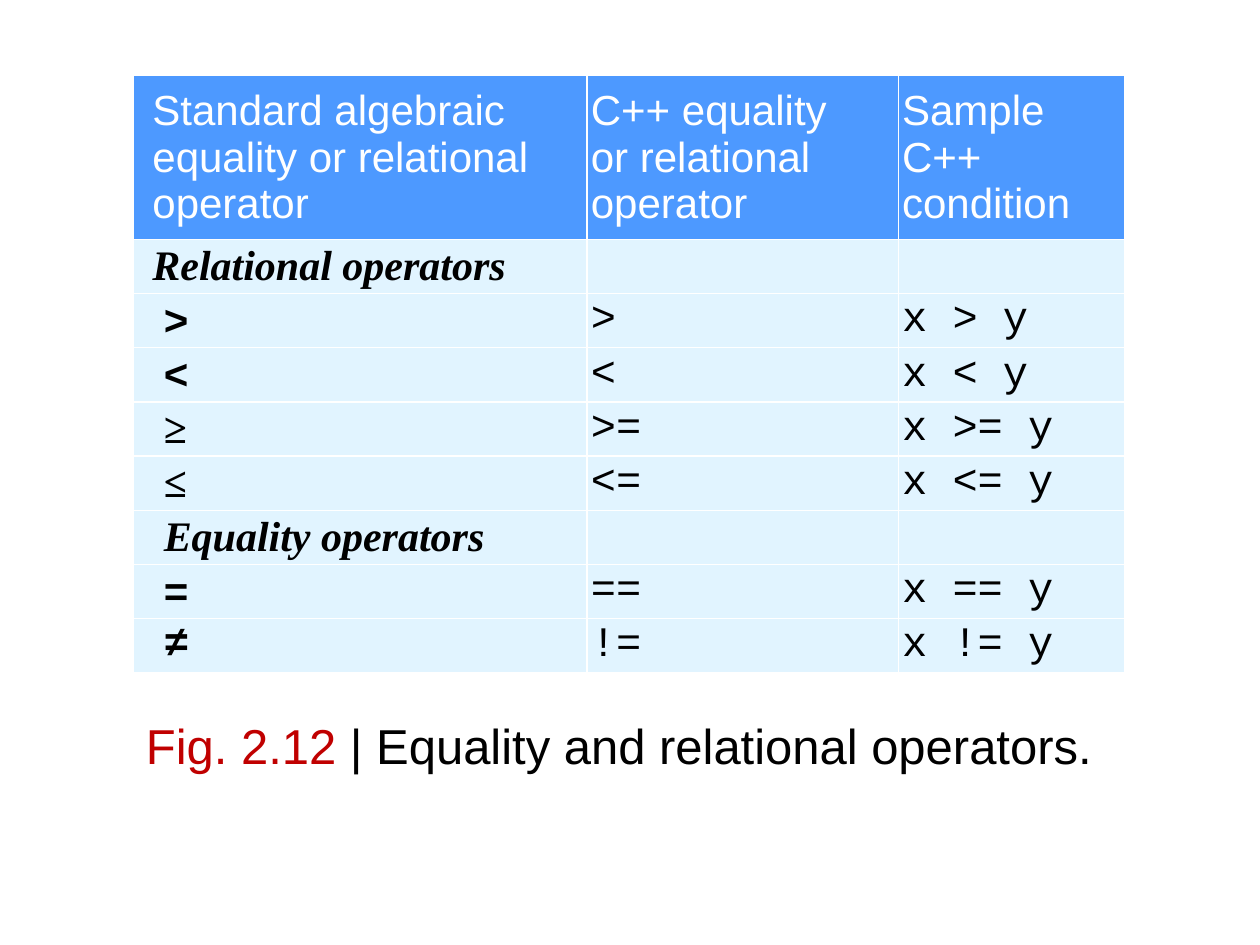
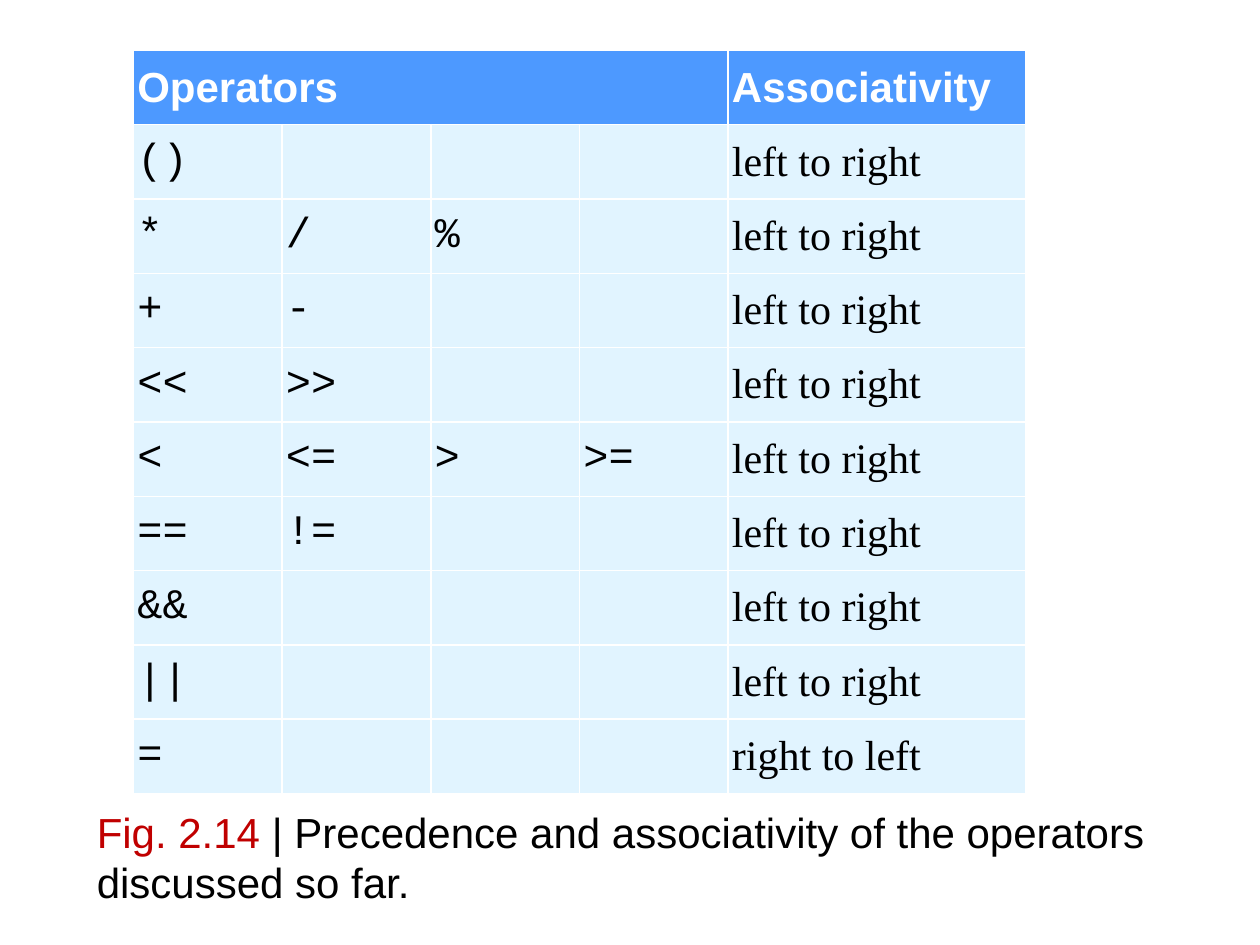
from dataclasses import dataclass

from pptx import Presentation
from pptx.dml.color import RGBColor
from pptx.enum.text import MSO_ANCHOR
from pptx.util import Inches, Pt

HEADER_FILL, BODY_FILL = "4D99FF", "E1F4FF"
WHITE, BLACK, RED = "FFFFFF", "000000", "C00000"
SANS, SERIF, MONO = "Arial", "Times New Roman", "Courier New"
TEXT_SIZE = 24
CELL_INDENT = 0.03
GROUP_INDENT = 0.15
SYMBOL_INDENT = 0.24


@dataclass(frozen=True)
class Style:
    name: str
    color: str = BLACK
    bold: bool = False
    italic: bool = False
    size: int = TEXT_SIZE


@dataclass(frozen=True)
class Entry:
    text: str
    style: Style
    indent: float = CELL_INDENT


@dataclass(frozen=True)
class Grid:
    left: float
    top: float
    column_widths: list[float]
    row_heights: list[float]
    rows: list[list[Entry]]


@dataclass(frozen=True)
class Caption:
    number: str
    text: str
    left: float
    top: float
    width: float
    height: float
    size: int


HEADER = Style(SANS, WHITE)
BOLD_HEADER = Style(SANS, WHITE, bold=True)
GROUP = Style(SERIF, bold=True, italic=True)
CODE = Style(MONO)
PROSE = Style(SERIF)
EMPTY = Entry("", CODE)


def rgb(color: str) -> RGBColor:
    return RGBColor.from_string(color)


def format_font(font, style: Style) -> None:
    values = {"name": style.name, "bold": style.bold, "italic": style.italic,
              "size": Pt(style.size)}
    for attribute, value in values.items():
        setattr(font, attribute, value)
    font.color.rgb = rgb(style.color)


def fill_cell(cell, entry: Entry, color: str) -> None:
    values = {"margin_left": Inches(entry.indent), "margin_right": 0,
              "margin_top": 0, "margin_bottom": 0,
              "vertical_anchor": MSO_ANCHOR.MIDDLE}
    for attribute, value in values.items():
        setattr(cell, attribute, value)
    cell.fill.solid()
    cell.fill.fore_color.rgb = rgb(color)
    para = cell.text_frame.paragraphs[0]
    para.text = entry.text
    for span in para.runs:
        format_font(span.font, entry.style)


def add_grid(page, grid: Grid):
    frame = page.shapes.add_table(
        len(grid.row_heights), len(grid.column_widths),
        Inches(grid.left), Inches(grid.top),
        Inches(sum(grid.column_widths)), Inches(sum(grid.row_heights)))
    table = frame.table
    table.horz_banding = False
    for column, width in zip(table.columns, grid.column_widths):
        column.width = Inches(width)
    for row, height in zip(table.rows, grid.row_heights):
        row.height = Inches(height)
    for row_index, entries in enumerate(grid.rows):
        color = BODY_FILL if row_index else HEADER_FILL
        for column_index, entry in enumerate(entries):
            fill_cell(table.cell(row_index, column_index), entry, color)
    return table


def add_caption(page, caption: Caption) -> None:
    box = page.shapes.add_textbox(
        Inches(caption.left), Inches(caption.top),
        Inches(caption.width), Inches(caption.height))
    frame = box.text_frame
    frame.word_wrap = True
    frame.vertical_anchor = MSO_ANCHOR.MIDDLE
    para = frame.paragraphs[0]
    for text, color in ((f"{caption.number} ", RED), (f"| {caption.text}", BLACK)):
        span = para.add_run()
        span.text = text
        format_font(span.font, Style(SANS, color, size=caption.size))


def group_row(title: str, indent: float) -> list[Entry]:
    return [Entry(title, GROUP, indent), EMPTY, EMPTY]


def operator_row(symbol: str, code: str, font: str = SANS) -> list[Entry]:
    return [Entry(symbol, Style(font, bold=True), SYMBOL_INDENT),
            Entry(code, CODE), Entry(f"x {code} y", CODE)]


def precedence_row(operators: str, associativity: str = "left to right") -> list[Entry]:
    """Spread space-separated operators over four columns, then the associativity."""
    codes = [Entry(code, CODE) for code in operators.split()]
    return codes + [EMPTY] * (4 - len(codes)) + [Entry(associativity, PROSE)]


def build_operators_page(page) -> None:
    rows = [
        [Entry("Standard algebraic\vequality or relational\voperator", HEADER, GROUP_INDENT),
         Entry("C++ equality\vor relational\voperator", HEADER),
         Entry("Sample\vC++\vcondition", HEADER)],
        group_row("Relational operators", GROUP_INDENT),
        operator_row(">", ">"),
        operator_row("<", "<"),
        operator_row("≥", ">=", SERIF),
        operator_row("≤", "<=", SERIF),
        group_row("Equality operators", SYMBOL_INDENT),
        operator_row("=", "=="),
        operator_row("≠", "!=", MONO),
    ]
    add_grid(page, Grid(1.06, 0.6, [3.6, 2.47, 1.8], [1.3] + [0.43] * 8, rows))
    add_caption(page, Caption("Fig. 2.12", "Equality and relational operators.",
                              1.06, 5.52, 7.88, 0.79, 28))


def build_precedence_page(page) -> None:
    rows = [
        [Entry("Operators", BOLD_HEADER), EMPTY, EMPTY, EMPTY,
         Entry("Associativity", BOLD_HEADER)],
        *map(precedence_row, ["()", "* / %", "+ -", "<< >>", "< <= > >=",
                              "== !=", "&&", "||"]),
        precedence_row("=", "right to left"),
    ]
    table = add_grid(page, Grid(1.06, 0.4, [1.18] * 4 + [2.36], [0.59] * 10, rows))
    table.cell(0, 0).merge(table.cell(0, 3))
    add_caption(page, Caption("Fig. 2.14",
                              "Precedence and associativity of the operators discussed so far.",
                              0.67, 6.31, 8.66, 0.98, 24))


def main() -> None:
    deck = Presentation()
    deck.slide_width, deck.slide_height = Inches(10), Inches(7.5)
    for build_page in (build_operators_page, build_precedence_page):
        build_page(deck.slides.add_slide(deck.slide_layouts[6]))
    deck.save("out.pptx")


if __name__ == "__main__":
    main()
